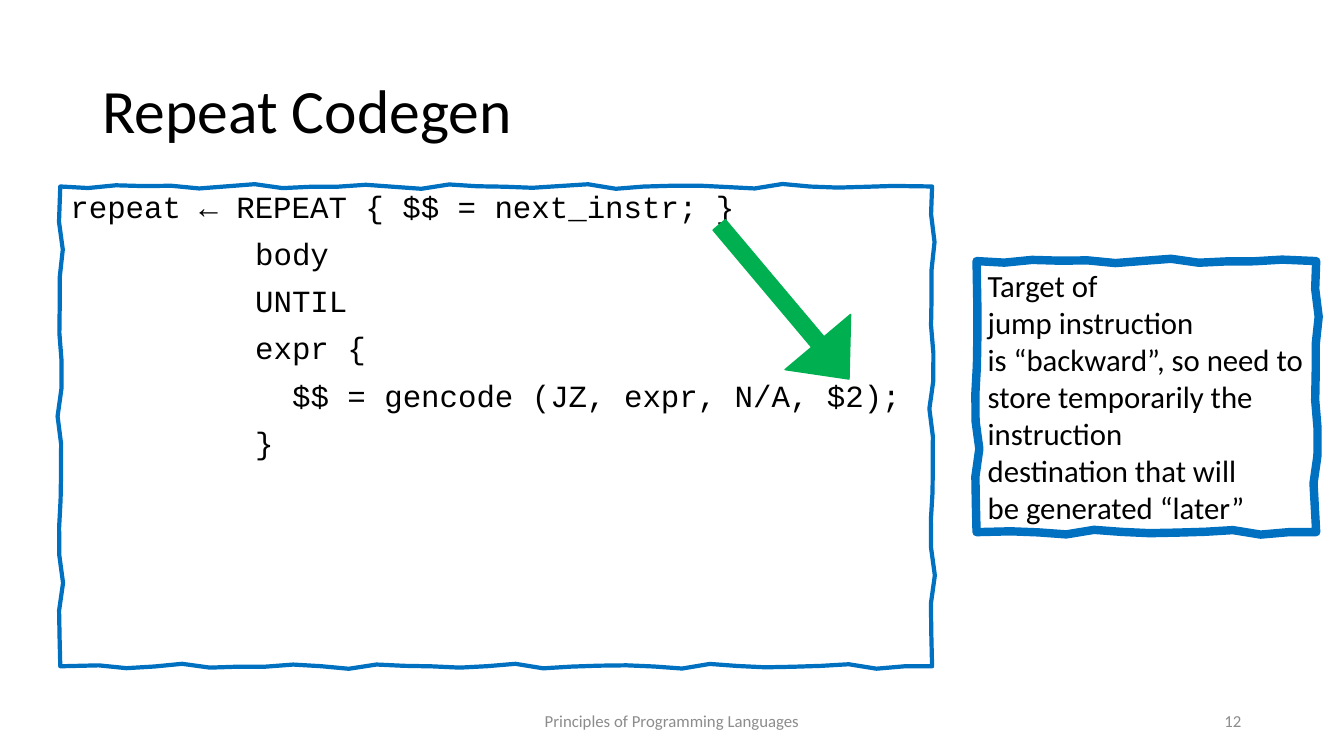
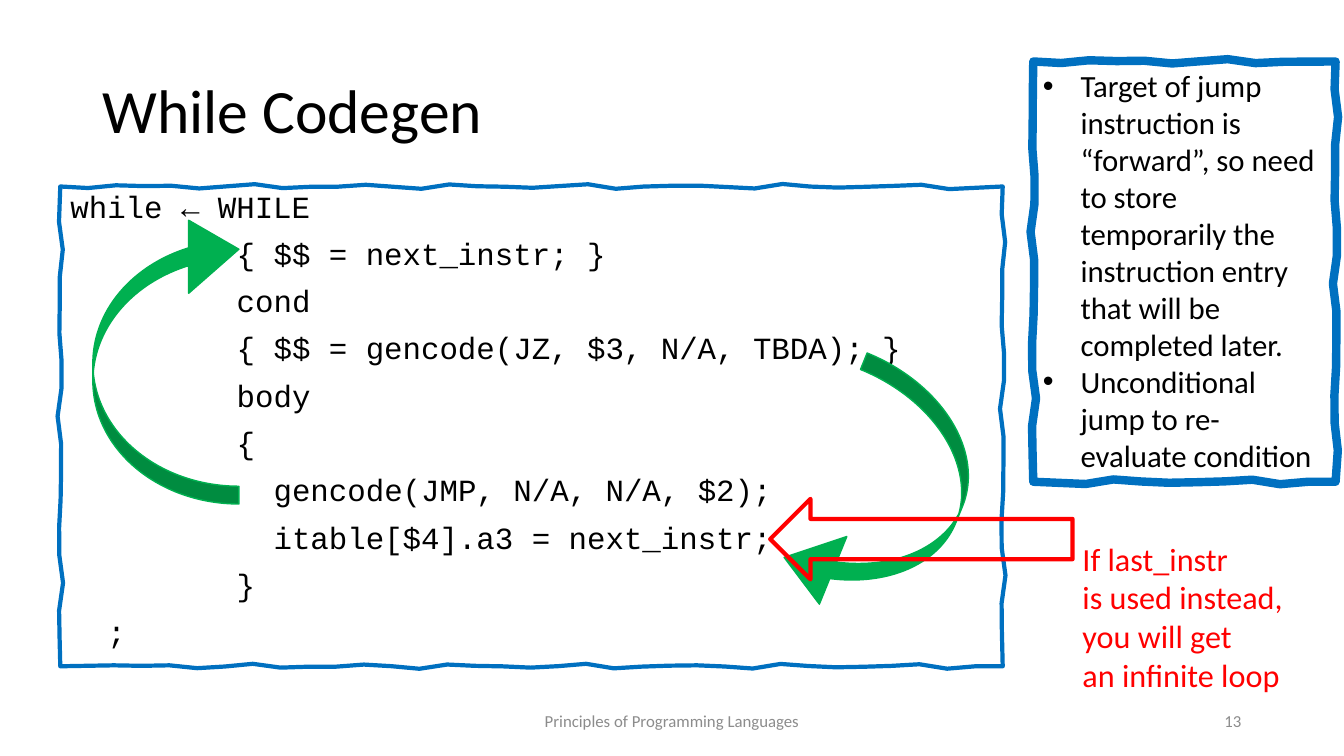
from copy import deepcopy
from math import sin

from lxml import etree
from pptx import Presentation
from pptx.dml.color import RGBColor
from pptx.enum.shapes import MSO_SHAPE, PP_PLACEHOLDER
from pptx.enum.text import MSO_ANCHOR, MSO_AUTO_SIZE, PP_ALIGN
from pptx.oxml.ns import qn
from pptx.util import Cm, Pt

LEFT, MID, RIGHT = PP_ALIGN.LEFT, PP_ALIGN.CENTER, PP_ALIGN.RIGHT
TOP, CENTER = MSO_ANCHOR.TOP, MSO_ANCHOR.MIDDLE
FIXED = MSO_AUTO_SIZE.NONE
FOOT, NUM = PP_PLACEHOLDER.FOOTER, PP_PLACEHOLDER.SLIDE_NUMBER
STRAIGHT, CURVED = MSO_SHAPE.RIGHT_ARROW, MSO_SHAPE.CURVED_LEFT_ARROW
POINTER = MSO_SHAPE.LEFT_ARROW

BLACK, GREY, BLUE = "000000", "8C8C8C", "0070C0"
GREEN, RED = "00B050", "FF0000"
CHAR = Pt(13.2)  # advance of one Courier New letter at 22 pt
STEP = 0.7       # cm between points of a wavy edge
CURVE = (0.122, 0.5, 0.344)


def write(frame, lines, size, hue, face="Calibri", anchor=TOP, **form):
    """Fill a text frame, one paragraph a line; form holds paragraph attributes."""
    frame.text = "\n".join(lines)
    look = {"word_wrap": True, "auto_size": FIXED, "vertical_anchor": anchor}
    for key, val in look.items():
        setattr(frame, key, val)
    for par in frame.paragraphs:
        for key, val in {"alignment": LEFT, **form}.items():
            setattr(par, key, val)
        for key, val in {"name": face, "size": Pt(size)}.items():
            setattr(par.font, key, val)
        par.font.color.rgb = RGBColor.from_string(hue)


def paint(shape, fill, line, width):
    shape.shadow.inherit = False
    if fill:
        shape.fill.solid()
        shape.fill.fore_color.rgb = RGBColor.from_string(fill)
    else:
        shape.fill.background()
    shape.line.color.rgb = RGBColor.from_string(line)
    shape.line.width = Pt(width)


# Code lines are (indent in letters, text); boxes are left, top, width, height in cm.
pages = [
    {
        "title": "Repeat Codegen",
        "num": "12",
        "code": [
            (0, "repeat ← REPEAT { $$ = next_instr; }"),
            (10, "body"),
            (10, "UNTIL"),
            (10, "expr {"),
            (12, "$$ = gencode (JZ, expr, N/A, $2);"),
            (10, "}"),
        ],
        "width": 21.97,
        "note": [
            "Target of",
            "jump instruction",
            "is “backward”, so need to",
            "store temporarily the",
            "instruction",
            "destination that will",
            "be generated “later”",
        ],
        "side": (24.61, 6.58, 8.56, 6.83),
        "inset": 0.1,
        "bullet": False,
        "arrows": [
            (STRAIGHT, (17.22, 6.53, 5.08, 2.16), 49.9, (0.188, 0.565), GREEN, GREEN, 1),
        ],
        "warn": [],
    },
    {
        "title": "While Codegen",
        "num": "13",
        "code": [
            (0, "while ← WHILE"),
            (9, "{ $$ = next_instr; }"),
            (9, "cond"),
            (9, "{ $$ = gencode(JZ, $3, N/A, TBDA); }"),
            (9, "body"),
            (9, "{"),
            (11, "gencode(JMP, N/A, N/A, $2);"),
            (11, "itable[$4].a3 = next_instr;"),
            (9, "}"),
            (2, ";"),
        ],
        "width": 23.75,
        "note": [
            "Target of jump instruction is “forward”, so need to store temporarily "
            "the instruction entry that will be completed later.",
            "Unconditional jump to re-evaluate condition",
        ],
        "side": (26.04, 1.55, 7.62, 10.59),
        "inset": 0.45,
        "bullet": True,
        "arrows": [
            (CURVED, (2.34, 5.36, 3.68, 7.34), 180, CURVE, GREEN, GREEN, 1),
            (CURVED, (20.5, 9.35, 3.68, 6.48), 22.1, CURVE, GREEN, GREEN, 1),
            (POINTER, (19.41, 12.57, 7.62, 2.03), 0, (), None, RED, 3),
        ],
        "warn": [
            "If last_instr",
            "is used instead,",
            "you will get",
            "an infinite loop",
        ],
    },
]

prs = Presentation()
prs.slide_width, prs.slide_height = Cm(33.87), Cm(19.05)
layout = prs.slide_layouts[1]

# Shared places of the title and the footers
spots = {
    PP_PLACEHOLDER.TITLE: (2.33, 1.02, 29.21, 3.68),
    FOOT: (11.22, 17.66, 11.43, 1.02),
    NUM: (23.92, 17.66, 7.62, 1.02),
}
feet = []
for hold in layout.placeholders:
    kind = hold.placeholder_format.type
    if kind in spots:
        hold.left, hold.top, hold.width, hold.height = map(Cm, spots[kind])
    if kind in (FOOT, NUM):
        feet.append(hold)

for page in pages:
    slide = prs.slides.add_slide(layout)
    shapes = slide.shapes
    write(shapes.title.text_frame, [page["title"]], 44, BLACK,
          anchor=CENTER, line_spacing=0.9)

    # Code
    area = (1.52, 4.7, page["width"], 12.09)
    body = slide.placeholders[1]
    body.left, body.top, body.width, body.height = map(Cm, area)
    write(body.text_frame, [text for _, text in page["code"]], 22, BLACK,
          "Courier New", line_spacing=0.9, space_before=Pt(10))
    for par, (count, _) in zip(body.text_frame.paragraphs, page["code"]):
        prop = par._p.get_or_add_pPr()
        prop.set("marL", str(count * CHAR))
        prop.set("indent", "0")
        etree.SubElement(prop, qn("a:buNone"))

    # Footers
    for foot in feet:
        shapes.element.append(deepcopy(foot.element))
    for hold in slide.placeholders:
        kind = hold.placeholder_format.type
        if kind == FOOT:
            write(hold.text_frame, ["Principles of Programming Languages"], 12, GREY,
                  anchor=CENTER, alignment=MID)
        elif kind == NUM:
            write(hold.text_frame, [page["num"]], 12, GREY,
                  anchor=CENTER, alignment=RIGHT)

    # Hand-drawn frames: each side sways by two sines that fade at the corners
    for box, width in ((area, 3), (page["side"], 6)):
        x, y, w, h = box
        sides = [(x, y, 1, 0, w), (x + w, y, 0, 1, h),
                 (x + w, y + h, -1, 0, w), (x, y + h, 0, -1, h)]
        dots = []
        for n, (left, top, dx, dy, size) in enumerate(sides):
            for i in range(int(size / STEP)):
                t = i * STEP
                fade = min(1, t, size - t)
                sway = fade * (0.04 * sin(2.3 * t + n) + 0.03 * sin(3.7 * t))
                dots.append((Cm(left + dx * t - dy * sway),
                             Cm(top + dy * t + dx * sway)))
        pen = shapes.build_freeform(*dots[0])
        pen.add_line_segments(dots[1:], close=True)
        edge = pen.convert_to_shape()
        paint(edge, None, BLUE, width)

    # Note inside the last frame
    note = edge.text_frame
    write(note, page["note"], 22, BLACK)
    insets = {"margin_left": 0.31, "margin_top": 0.2, "margin_right": page["inset"]}
    for key, val in insets.items():
        setattr(note, key, Cm(val))
    if page["bullet"]:
        for par in note.paragraphs:
            prop = par._p.get_or_add_pPr()
            prop.set("marL", str(Cm(0.95)))
            prop.set("indent", str(-Cm(0.95)))
            etree.SubElement(prop, qn("a:buFont")).set("typeface", "Arial")
            etree.SubElement(prop, qn("a:buChar")).set("char", "•")

    # Arrows
    for kind, box, turn, adjust, fill, line, width in page["arrows"]:
        arrow = shapes.add_shape(kind, *map(Cm, box))
        arrow.rotation = turn
        for i, val in enumerate(adjust):
            arrow.adjustments[i] = val
        paint(arrow, fill, line, width)

    if page["warn"]:
        warn = shapes.add_textbox(*map(Cm, (27.03, 13.46, 6.63, 4.19)))
        write(warn.text_frame, page["warn"], 23, RED)

prs.save("out.pptx")
